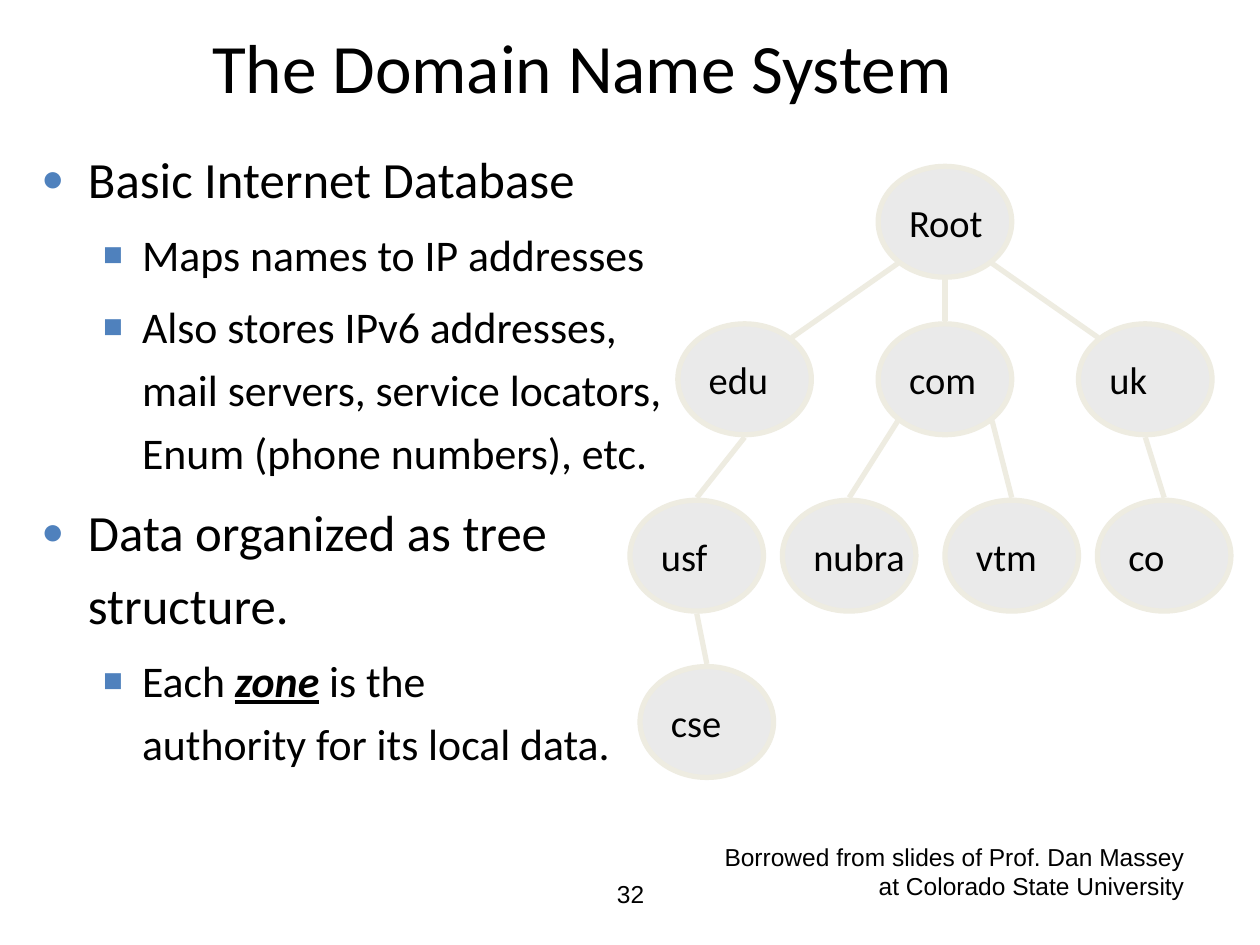
from lxml import etree
from pptx import Presentation
from pptx.dml.color import RGBColor
from pptx.enum.shapes import MSO_CONNECTOR, MSO_SHAPE
from pptx.enum.text import MSO_ANCHOR, PP_ALIGN
from pptx.oxml.ns import qn
from pptx.util import Inches, Pt

LEFT, CENTER, RIGHT = PP_ALIGN.LEFT, PP_ALIGN.CENTER, PP_ALIGN.RIGHT
TOP, MIDDLE = MSO_ANCHOR.TOP, MSO_ANCHOR.MIDDLE
BLACK = RGBColor(0x00, 0x00, 0x00)
NODE_FILL = RGBColor(0xEA, 0xEA, 0xEA)
TREE_LINE = RGBColor(0xEE, 0xEC, 0xE1)
BULLET = RGBColor(0x4F, 0x81, 0xBD)

TITLE = "The Domain Name System"
CREDIT = "Borrowed from slides of Prof. Dan Massey at Colorado State University"
PAGE_NUMBER = "32"
POINTS = [
    (0, ["Basic Internet Database"]),
    (1, ["Maps names to IP addresses"]),
    (1, ["Also stores IPv6 addresses, mail servers, service locators, "
         "Enum (phone numbers), etc."]),
    (0, ["Data organized as tree structure."]),
    (1, ["Each ", ("zone", True), " is the", "\n", "authority for its local data."]),
]
LEVELS = [
    {"size": 29, "margin": 0.37, "indent": -0.37, "mark": "●"},
    {"size": 25, "margin": 0.8, "indent": -0.31, "mark": "■"},
]

ROWS = [
    (1.32, {"Root": 6.97}),
    (2.57, {"edu": 5.38, "com": 6.97, "uk": 8.56}),
    (3.97, {"usf": 5, "nubra": 6.21, "vtm": 7.5, "co": 8.71}),
    (5.29, {"cse": 5.08}),
]
EDGES = [
    ("Root", "bottom left", "edu", "top right"),
    ("Root", "bottom", "com", "top"),
    ("Root", "bottom right", "uk", "top left"),
    ("com", "bottom left", "nubra", "top"),
    ("com", "bottom right", "vtm", "top"),
    ("uk", "bottom", "co", "top"),
    ("edu", "bottom", "usf", "top"),
    ("usf", "bottom", "cse", "top"),
]
NODE_WIDTH, NODE_HEIGHT = 1.06, 0.88
LINE_GAP = 0.02
DIAGONAL = 0.5 ** 0.5


def add_span(para, text, size=14, font="Arial", emphasis=False):
    span = para.add_run()
    span.text = text
    span.font.size = Pt(size)
    span.font.name = font
    span.font.color.rgb = BLACK
    if emphasis:
        span.font.bold = span.font.italic = span.font.underline = True


def write(shape, text, align=LEFT, anchor=MIDDLE, wrap=True, **style):
    frame = shape.text_frame
    frame.word_wrap = wrap
    frame.vertical_anchor = anchor
    para = frame.paragraphs[0]
    para.alignment = align
    add_span(para, text, **style)


def add_box(page, left, top, width, height):
    return page.shapes.add_textbox(Inches(left), Inches(top), Inches(width), Inches(height))


def add_bullet(para, level):
    style = LEVELS[level]
    props = para._p.get_or_add_pPr()
    props.set("marL", str(Inches(style["margin"])))
    props.set("indent", str(Inches(style["indent"])))
    color = etree.SubElement(props, qn("a:buClr"))
    etree.SubElement(color, qn("a:srgbClr")).set("val", str(BULLET))
    etree.SubElement(props, qn("a:buSzPct")).set("val", "75000")
    etree.SubElement(props, qn("a:buFont")).set("typeface", "Arial")
    etree.SubElement(props, qn("a:buChar")).set("char", style["mark"])


def add_points(page):
    frame = add_box(page, 0.23, 1.03, 5.36, 5.88).text_frame
    frame.word_wrap = True
    for number, (level, parts) in enumerate(POINTS):
        para = frame.add_paragraph() if number else frame.paragraphs[0]
        size = LEVELS[level]["size"]
        para.level = level
        add_bullet(para, level)
        para.line_spacing = 1.2
        if number:
            para.space_before = Pt(size * 0.2)
        for part in parts:
            if part == "\n":
                para.add_line_break()
                continue
            text, emphasis = part if isinstance(part, tuple) else (part, False)
            add_span(para, text, size=size, font="Calibri", emphasis=emphasis)


def add_node(page, name, left, top):
    node = page.shapes.add_shape(
        MSO_SHAPE.OVAL, Inches(left), Inches(top), Inches(NODE_WIDTH), Inches(NODE_HEIGHT))
    node.shadow.inherit = False
    node.fill.solid()
    node.fill.fore_color.rgb = NODE_FILL
    node.line.color.rgb = TREE_LINE
    node.line.width = Pt(3)
    frame = node.text_frame
    frame.margin_left = frame.margin_right = Inches(0.09)
    frame.margin_top = frame.margin_bottom = Inches(0.04)
    write(node, name, wrap=False, size=22, font="Calibri")


def edge_point(corner, side):
    across = ("right" in side) - ("left" in side)
    down = 1 if "bottom" in side else -1
    reach = DIAGONAL if across else 1
    x = corner[0] + NODE_WIDTH / 2 * (1 + across * reach)
    y = corner[1] + NODE_HEIGHT / 2 * (1 + down * reach) + down * LINE_GAP
    return Inches(x), Inches(y)


def add_edge(page, start, end):
    line = page.shapes.add_connector(MSO_CONNECTOR.STRAIGHT, *start, *end)
    line.line.color.rgb = TREE_LINE
    line.line.width = Pt(3)
    etree.SubElement(line._element.spPr, qn("a:effectLst"))


def add_tree(page):
    corners = {name: (left, top) for top, row in ROWS for name, left in row.items()}
    for name, corner in corners.items():
        add_node(page, name, *corner)
    for parent, parent_side, child, child_side in EDGES:
        add_edge(page, edge_point(corners[parent], parent_side),
                 edge_point(corners[child], child_side))


def main():
    deck = Presentation()
    deck.slide_width, deck.slide_height = Inches(10), Inches(7.5)
    page = deck.slides.add_slide(deck.slide_layouts[6])
    write(add_box(page, 3.42, 6.83, 3.17, 0.52), PAGE_NUMBER, align=CENTER)
    write(add_box(page, 5.58, 6.58, 3.92, 0.67), CREDIT, align=RIGHT)
    add_points(page)
    add_tree(page)
    write(add_box(page, 0.38, 0.15, 8.48, 0.75), TITLE, align=CENTER, size=39.6, font="Calibri")
    deck.save("out.pptx")


if __name__ == "__main__":
    main()
